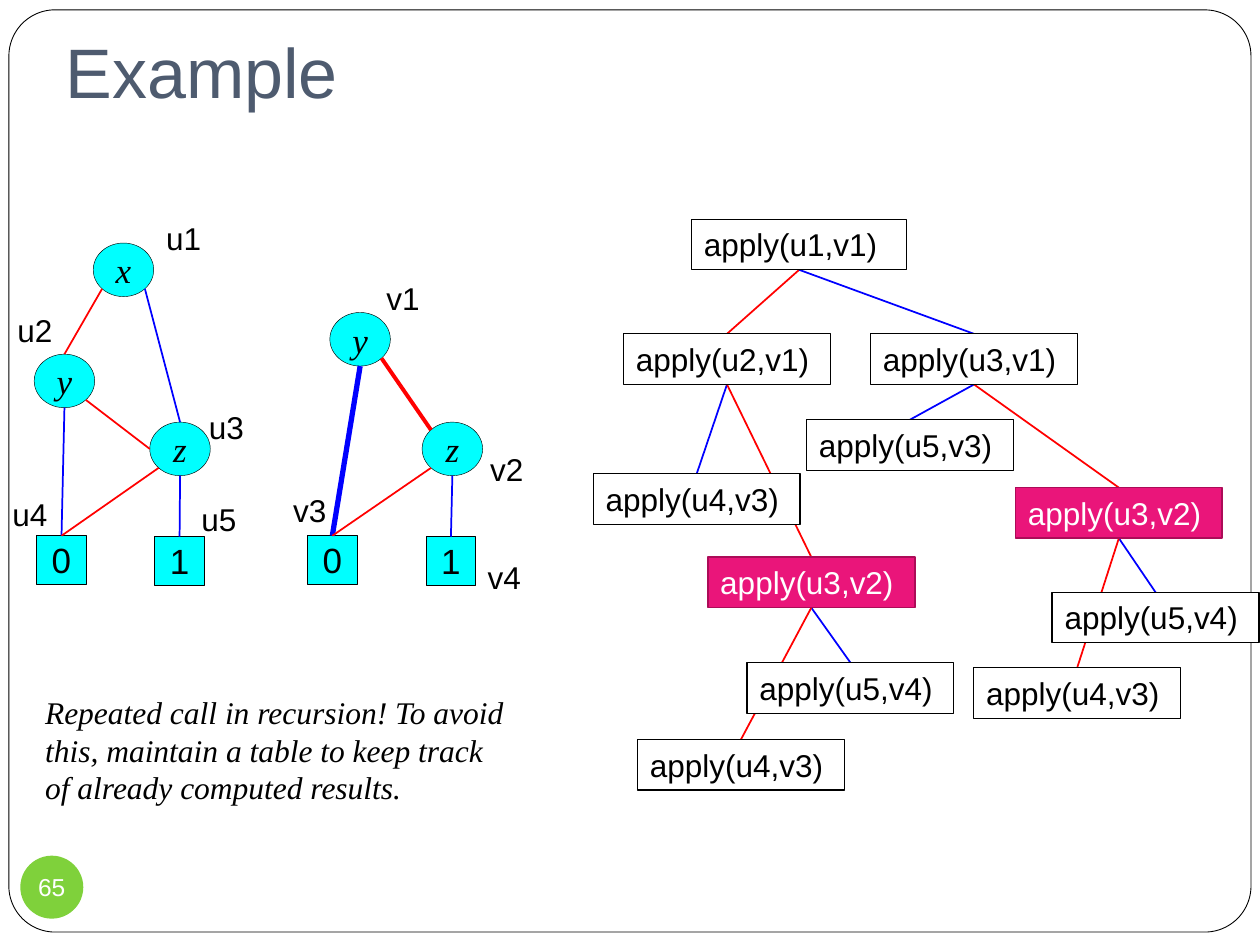
from collections import namedtuple

from lxml.etree import SubElement
from pptx import Presentation
from pptx.dml.color import RGBColor
from pptx.enum.shapes import MSO_CONNECTOR, MSO_SHAPE
from pptx.enum.text import MSO_ANCHOR, MSO_AUTO_SIZE, PP_ALIGN
from pptx.oxml.ns import qn
from pptx.util import Cm, Pt

COLORS = {
    "black": "000000", "white": "FFFFFF", "title": "4E5B6F", "node": "00FFFF",
    "red": "FF0000", "blue": "0000FF", "pink": "EA157A", "pink_line": "AC0C58",
    "green": "7FD13B",
}
SANS, SERIF = "Arial", "Times New Roman"

# All boxes are in centimetres
Box = namedtuple("Box", "left top width height")

# Points on the outline of a shape, as fractions of its width and height
ANCHORS = {
    "top": (0.5, 0), "bottom": (0.5, 1), "left": (0, 0.5),
    "top left": (0.146, 0.146), "bottom left": (0.146, 0.854),
    "bottom right": (0.854, 0.854),
}


def rgb(name):
    return RGBColor.from_string(COLORS[name])


def inside(area, left, top, width, height):
    return Box(area.left + left, area.top + top, width, height)


def point(box, anchor):
    across, down = ANCHORS[anchor]
    return Cm(box.left + across * box.width), Cm(box.top + down * box.height)


def write(shape, text, size=18, font=SANS, color="black", italic=False,
          align=PP_ALIGN.LEFT, anchor=MSO_ANCHOR.TOP, wrap=True, grow=False):
    frame = shape.text_frame
    frame.text = text
    frame.word_wrap = wrap
    frame.auto_size = MSO_AUTO_SIZE.SHAPE_TO_FIT_TEXT if grow else MSO_AUTO_SIZE.NONE
    frame.vertical_anchor = anchor
    para = frame.paragraphs[0]
    para.alignment = align
    span = para.runs[0]
    span.font.name = font
    span.font.size = Pt(size)
    span.font.italic = italic
    span.font.color.rgb = rgb(color)


def add_block(page, kind, box, fill, line=None, line_width=0.25):
    shape = page.shapes.add_shape(kind, *map(Cm, box))
    shape.shadow.inherit = False
    shape.fill.solid()
    shape.fill.fore_color.rgb = rgb(fill)
    if line:
        shape.line.color.rgb = rgb(line)
        shape.line.width = Pt(line_width)
    else:
        shape.line.fill.background()
    return shape


def add_edge(page, start, end, color, width=1):
    edge = page.shapes.add_connector(MSO_CONNECTOR.STRAIGHT, *start, *end)
    edge.line.color.rgb = rgb(color)
    edge.line.width = Pt(width)
    SubElement(edge._element.spPr, qn("a:effectLst"))


def add_text(page, box, text, **style):
    write(page.shapes.add_textbox(*map(Cm, box)), text, grow=True, **style)


def add_frame(page, box):
    frame = add_block(page, MSO_SHAPE.ROUNDED_RECTANGLE, box, "white", "black", 0.5)
    frame.adjustments[0] = 0.05
    # The frame lies behind the title
    page.shapes._spTree.insert(2, frame._element)


def add_title(page, box, text):
    title = page.shapes.title
    title.left, title.top, title.width, title.height = map(Cm, box)
    write(title, text, size=40, color="title", anchor=MSO_ANCHOR.BOTTOM)
    title.text_frame.margin_bottom = Cm(0.25)


def add_diagram(page, area, nodes, edges, labels):
    """Decision diagram: round variables, square values, labels beside them."""
    boxes = {}
    for name, left, top in nodes:
        is_value = name.isdigit()
        size = (1, 0.97) if is_value else (1.22, 1.08)
        boxes[name] = inside(area, left, top, *size)
        node = add_block(page, MSO_SHAPE.RECTANGLE if is_value else MSO_SHAPE.OVAL,
                         boxes[name], "node", "black")
        write(node, name, size=20, font=SANS if is_value else SERIF,
              italic=not is_value, align=PP_ALIGN.CENTER, anchor=MSO_ANCHOR.MIDDLE)
    for parent, leaving, child, arriving, color, width in edges:
        add_edge(page, point(boxes[parent], leaving), point(boxes[child], arriving),
                 color, width)
    for text, left, top in labels:
        add_text(page, inside(area, left, top, 1.3, 1.02), text, wrap=False)


def add_call_tree(page, area, calls, edges):
    """Tree of recursive calls; the edges run behind the boxes."""
    boxes = {key: inside(area, left, top, 4.34 if key == "root" else 4.17, 1.02)
             for key, (_, left, top) in calls.items()}
    for parent, child, color in edges:
        add_edge(page, point(boxes[parent], "bottom"), point(boxes[child], "top"), color)
    for key, (arguments, _, _) in calls.items():
        repeated = arguments == "u3,v2"
        style = ("pink", "pink_line", 1) if repeated else ("white", "black", 0.75)
        call = add_block(page, MSO_SHAPE.RECTANGLE, boxes[key], *style)
        write(call, f"apply({arguments})", color="white" if repeated else "black",
              wrap=False, grow=True)


def add_page_number(page, box, number):
    badge = add_block(page, MSO_SHAPE.OVAL, box, "green")
    write(badge, number, size=14, color="white", align=PP_ALIGN.CENTER,
          anchor=MSO_ANCHOR.MIDDLE, wrap=False)
    frame = badge.text_frame
    frame.margin_left = frame.margin_right = frame.margin_top = frame.margin_bottom = 0


U_NODES = [("x", 1.88, 0.6), ("y", 0.69, 2.84), ("z", 3.02, 4.21),
           ("0", 0.74, 6.5), ("1", 3.12, 6.52)]
U_EDGES = [
    ("x", "bottom right", "z", "top", "blue", 1),
    ("z", "bottom", "1", "top", "blue", 1),
    ("y", "bottom", "0", "top", "blue", 1),
    ("x", "bottom left", "y", "top", "red", 1),
    ("z", "bottom left", "0", "top", "red", 1),
    ("y", "bottom right", "z", "left", "red", 1),
]
U_LABELS = [("u1", 3.1, 0), ("u2", 0.1, 1.85), ("u3", 3.96, 3.8),
            ("u4", 0, 5.56), ("u5", 3.81, 5.66)]

V_NODES = [("y", 1.05, 2), ("z", 2.91, 4.21), ("0", 0.6, 6.5), ("1", 2.99, 6.52)]
V_EDGES = [
    ("z", "bottom", "1", "top", "blue", 1),
    ("y", "bottom", "0", "top", "blue", 3),
    ("z", "bottom left", "0", "top", "red", 1),
    ("y", "bottom right", "z", "top left", "red", 2.25),
]
V_LABELS = [("v1", 1.94, 1.21), ("v2", 4.03, 4.64), ("v3", 0.06, 5.48),
            ("v4", 3.98, 6.83)]

# Key of each call: its arguments, left and top
CALLS = {
    "root": ("u1,v1", 1.98, 0),
    "low": ("u2,v1", 0.61, 2.31),
    "low value": ("u4,v3", 0, 5.13),
    "low repeat": ("u3,v2", 2.31, 6.81),
    "low repeat one": ("u5,v4", 3.1, 8.94),
    "low repeat zero": ("u4,v3", 0.89, 10.49),
    "high": ("u3,v1", 5.59, 2.31),
    "high value": ("u5,v3", 4.3, 4.04),
    "high repeat": ("u3,v2", 8.51, 5.41),
    "high repeat one": ("u5,v4", 9.25, 7.52),
    "high repeat zero": ("u4,v3", 7.67, 9.04),
}
CALL_EDGES = [("root", "low", "red"), ("root", "high", "blue")]
for branch in ("low", "high"):
    repeat = f"{branch} repeat"
    CALL_EDGES += [(branch, f"{branch} value", "blue"), (branch, repeat, "red"),
                   (repeat, f"{repeat} one", "blue"), (repeat, f"{repeat} zero", "red")]


def main():
    deck = Presentation()
    deck.slide_width, deck.slide_height = Cm(25.4), Cm(19.05)
    page = deck.slides.add_slide(deck.slide_layouts[5])

    # Frame and title
    add_frame(page, Box(0.18, 0.2, 25.04, 18.59))
    add_title(page, Box(1.07, 0.76, 23.06, 1.75), "Example")

    # The two diagrams and the calls that combine them
    add_diagram(page, Box(0, 4.3, 5.2, 7.5), U_NODES, U_EDGES, U_LABELS)
    add_diagram(page, Box(5.6, 4.3, 5.2, 7.9), V_NODES, V_EDGES, V_LABELS)
    add_call_tree(page, Box(11.96, 4.42, 13.42, 11.51), CALLS, CALL_EDGES)

    # Remark and page number
    add_text(page, Box(0.66, 13.84, 9.98, 2.54),
             "Repeated call in recursion! To avoid this, maintain a table to keep "
             "track of already computed results.", font=SERIF, italic=True)
    add_page_number(page, Box(0.41, 17.25, 1.27, 1.27), "65")

    deck.save("out.pptx")


if __name__ == "__main__":
    main()
